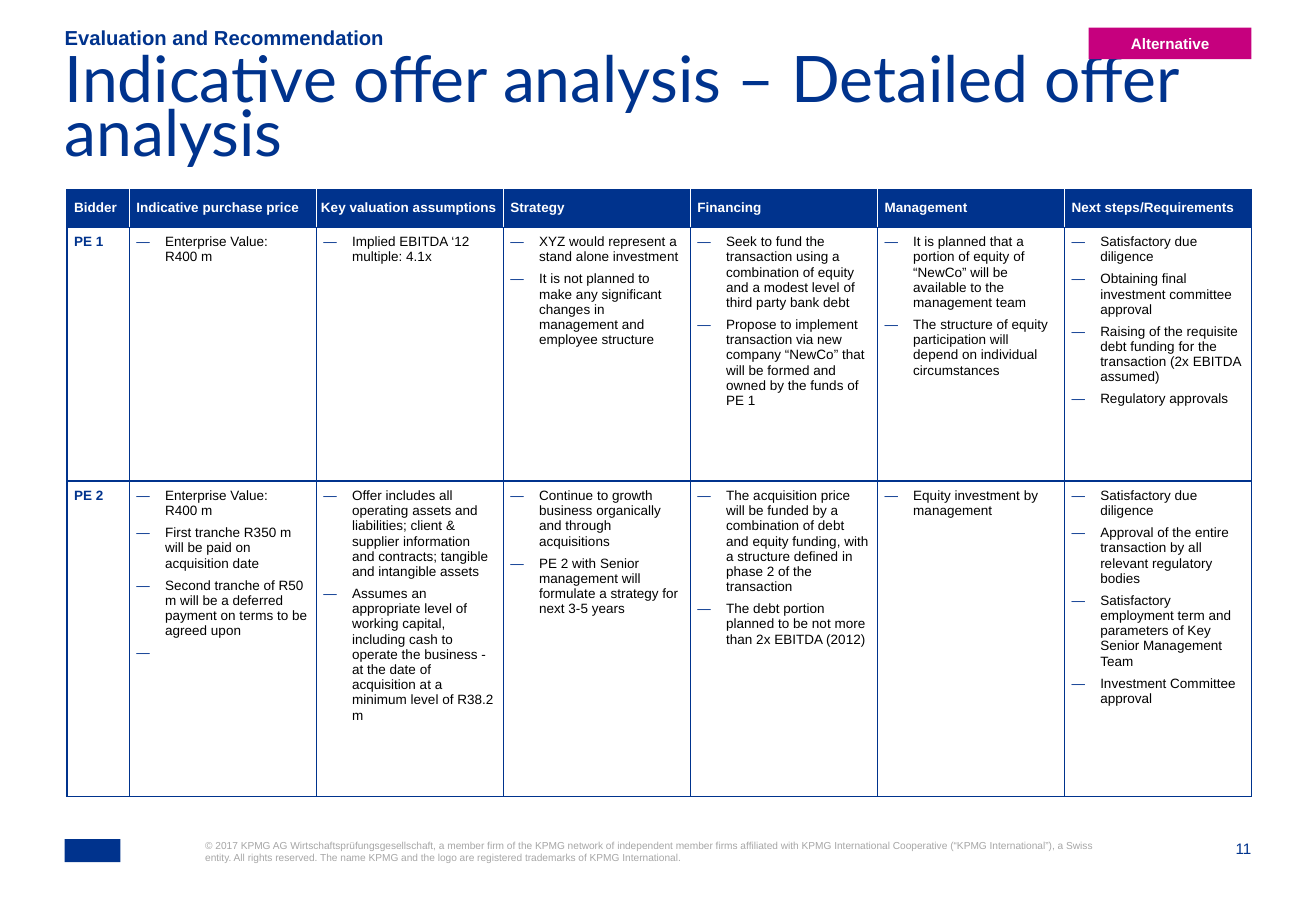
import dataclasses
from typing import Any

import lxml.etree
import pptx
import pptx.dml.color
import pptx.enum.shapes
import pptx.enum.text
import pptx.oxml.ns
import pptx.util

Cm = pptx.util.Cm
Pt = pptx.util.Pt
Align = pptx.enum.text.PP_ALIGN
Anchor = pptx.enum.text.MSO_ANCHOR
qn = pptx.oxml.ns.qn


@dataclasses.dataclass(frozen=True)
class TextStyle:
    size: float
    color: str
    bold: bool = False
    font: str = "Arial"


@dataclasses.dataclass(frozen=True)
class Theme:
    blue: str = "00338D"
    magenta: str = "C6007E"
    white: str = "FFFFFF"
    title: TextStyle = TextStyle(38, "00338D", font="Lato")
    section: TextStyle = TextStyle(12, "00338D", True)
    badge: TextStyle = TextStyle(9, "FFFFFF", True)
    header: TextStyle = TextStyle(8, "FFFFFF", True)
    bidder: TextStyle = TextStyle(8, "00338D", True)
    body: TextStyle = TextStyle(8, "000000")
    footer: TextStyle = TextStyle(6, "A6A6A6")
    page_number: TextStyle = TextStyle(9, "00338D")


@dataclasses.dataclass(frozen=True)
class Box:
    left: float
    top: float
    width: float
    height: float

    def lengths(self) -> tuple[int, int, int, int]:
        return Cm(self.left), Cm(self.top), Cm(self.width), Cm(self.height)


@dataclasses.dataclass(frozen=True)
class Bidder:
    name: str
    columns: list[list[str]]


THEME = Theme()
COLUMN_WIDTHS = [1.3] + [3.91] * 6
ROW_HEIGHTS = [0.79, 5.31, 6.6]
CELL_MARGIN = 0.15
NARROW_MARGIN = 0.1
BULLET_INDENT = 0.6

HEADERS = ["Bidder", "Indicative purchase price", "Key valuation assumptions", "Strategy",
           "Financing", "Management", "Next steps/Requirements"]
TIGHT_HEADER = "Key valuation assumptions"

BIDDERS = [
    Bidder("PE 1", [
        ["Enterprise Value: \nR400 m"],
        ["Implied EBITDA ‘12 multiple: 4.1x"],
        ["XYZ would represent a stand alone investment",
         "It is not planned to make any significant changes in management and employee structure"],
        ["Seek to fund the transaction using a combination of equity and a modest level of "
         "third party bank debt",
         "Propose to implement transaction via new company “NewCo” that will be formed and "
         "owned by the funds of PE 1"],
        ["It is planned that a portion of equity of “NewCo” will be available to the "
         "management team",
         "The structure of equity participation will depend on individual circumstances"],
        ["Satisfactory due diligence",
         "Obtaining final investment committee approval",
         "Raising of the requisite debt funding for the transaction (2x EBITDA assumed)",
         "Regulatory approvals"],
    ]),
    Bidder("PE 2", [
        ["Enterprise Value: \nR400 m",
         "First tranche R350 m will be paid on acquisition date",
         "Second tranche of R50 m will be a deferred payment on terms to be agreed upon",
         "\t"],  # the list ends with an open dash
        ["Offer includes all operating assets and liabilities; client & supplier information "
         "and contracts; tangible and intangible assets",
         "Assumes an appropriate level of working capital, including cash to operate the "
         "business - at the date of acquisition at a minimum level of R38.2 m"],
        ["Continue to growth business organically and through acquisitions",
         "PE 2 with Senior management will formulate a strategy for next 3-5 years"],
        ["The acquisition price will be funded by a combination of debt and equity funding, "
         "with a structure defined in phase 2 of the transaction",
         "The debt portion planned to be not more than 2x EBITDA (2012)"],
        ["Equity investment by management"],
        ["Satisfactory due diligence",
         "Approval of the entire transaction by all relevant regulatory bodies",
         "Satisfactory employment term and parameters of Key Senior Management Team",
         "Investment Committee approval"],
    ]),
]

COPYRIGHT = ("© 2017 KPMG AG Wirtschaftsprüfungsgesellschaft, a member firm of the KPMG network of "
             "independent member firms affiliated with KPMG International Cooperative (“KPMG "
             "International”), a Swiss entity. All rights reserved. The name KPMG and the logo are "
             "registered trademarks of KPMG International.")


def rgb(color: str) -> pptx.dml.color.RGBColor:
    return pptx.dml.color.RGBColor.from_string(color)


def add_text(paragraph: Any, text: str, style: TextStyle) -> None:
    for index, line in enumerate(text.split("\n")):
        if index:
            paragraph.add_line_break()
        run = paragraph.add_run()
        run.text = line
        run.font.name = style.font
        run.font.size = Pt(style.size)
        run.font.bold = style.bold
        run.font.color.rgb = rgb(style.color)


def fill_frame(shape: Any, text: str, style: TextStyle, align: Any = Align.LEFT,
               anchor: Any = Anchor.TOP) -> Any:
    frame = shape.text_frame
    frame.word_wrap = True
    frame.auto_size = pptx.enum.text.MSO_AUTO_SIZE.NONE
    frame.vertical_anchor = anchor
    frame.margin_left = frame.margin_right = frame.margin_top = frame.margin_bottom = 0
    paragraph = frame.paragraphs[0]
    paragraph.alignment = align
    paragraph.space_before = Pt(0)
    add_text(paragraph, text, style)
    return paragraph


def add_label(slide: Any, box: Box, text: str, style: TextStyle, align: Any = Align.LEFT) -> None:
    fill_frame(slide.shapes.add_textbox(*box.lengths()), text, style, align)


def add_block(slide: Any, box: Box, color: str) -> Any:
    shape = slide.shapes.add_shape(pptx.enum.shapes.MSO_SHAPE.RECTANGLE, *box.lengths())
    shape.shadow.inherit = False
    shape.fill.solid()
    shape.fill.fore_color.rgb = rgb(color)
    shape.line.fill.background()
    return shape


def place(shape: Any, box: Box) -> Any:
    shape.left, shape.top, shape.width, shape.height = box.lengths()
    return shape


def set_indent(paragraph: Any, indent: float, bullet: str = "") -> None:
    properties = paragraph._p.get_or_add_pPr()
    properties.set("marL", str(Cm(indent)))
    properties.set("indent", str(-Cm(indent)))
    if not bullet:
        lxml.etree.SubElement(properties, qn("a:buNone"))
        return
    color = lxml.etree.SubElement(properties, qn("a:buClr"))
    lxml.etree.SubElement(color, qn("a:srgbClr"), val=THEME.blue)
    lxml.etree.SubElement(properties, qn("a:buFont"), typeface="Arial")
    lxml.etree.SubElement(properties, qn("a:buChar"), char=bullet)


def format_cell(cell: Any, fill: str, anchor: Any, side_margin: float,
                left: str, right: str) -> None:
    properties = cell._tc.get_or_add_tcPr()
    edges = {"a:lnL": left, "a:lnR": right, "a:lnT": THEME.blue, "a:lnB": THEME.blue}
    for tag, color in edges.items():
        line = lxml.etree.SubElement(properties, qn(tag), w=str(Pt(0.75)))
        solid = lxml.etree.SubElement(line, qn("a:solidFill"))
        lxml.etree.SubElement(solid, qn("a:srgbClr"), val=color)
    cell.fill.solid()
    cell.fill.fore_color.rgb = rgb(fill)
    cell.vertical_anchor = anchor
    cell.margin_left = cell.margin_right = Cm(side_margin)
    cell.margin_top = cell.margin_bottom = Cm(CELL_MARGIN)


def add_offer_table(slide: Any, box: Box) -> None:
    table = slide.shapes.add_table(len(ROW_HEIGHTS), len(COLUMN_WIDTHS), *box.lengths()).table
    table.first_row = table.horz_banding = False
    for column, width in zip(table.columns, COLUMN_WIDTHS):
        column.width = Cm(width)
    for row, height in zip(table.rows, ROW_HEIGHTS):
        row.height = Cm(height)

    # Header row: white rules between the columns only
    for index, header in enumerate(HEADERS):
        cell = table.cell(0, index)
        format_cell(cell, THEME.blue, Anchor.MIDDLE,
                    NARROW_MARGIN if header == TIGHT_HEADER else CELL_MARGIN,
                    THEME.white if index else THEME.blue,
                    THEME.white if index < len(HEADERS) - 1 else THEME.blue)
        add_text(cell.text_frame.paragraphs[0], header, THEME.header)

    # One row per bidder
    for row_index, bidder in enumerate(BIDDERS, start=1):
        for index in range(len(HEADERS)):
            format_cell(table.cell(row_index, index), THEME.white, Anchor.TOP, CELL_MARGIN,
                        THEME.blue, THEME.blue)
        add_text(table.cell(row_index, 0).text_frame.paragraphs[0], bidder.name, THEME.bidder)
        for index, points in enumerate(bidder.columns, start=1):
            frame = table.cell(row_index, index).text_frame
            for number, point in enumerate(points):
                paragraph = frame.add_paragraph() if number else frame.paragraphs[0]
                paragraph.space_after = Pt(4)
                set_indent(paragraph, BULLET_INDENT, "—")
                add_text(paragraph, point, THEME.body)


def main() -> None:
    presentation = pptx.Presentation()
    presentation.slide_width, presentation.slide_height = Cm(27.51), Cm(19.05)
    slide = presentation.slides.add_slide(presentation.slide_layouts[1])

    # Title and section line
    title = place(slide.shapes.title, Box(1.35, 1.24, 24.79, 2.01))
    fill_frame(title, "Indicative offer analysis – Detailed offer analysis",
               THEME.title).line_spacing = 0.7
    section = place(slide.placeholders[1], Box(1.35, 0.56, 23.88, 0.48))
    set_indent(fill_frame(section, "Evaluation and Recommendation", THEME.section,
                          anchor=Anchor.BOTTOM), 0)

    # Badge and table
    badge = add_block(slide, Box(22.76, 0.58, 3.4, 0.66), THEME.magenta)
    fill_frame(badge, "Alternative", THEME.badge, Align.CENTER, Anchor.MIDDLE)
    add_offer_table(slide, Box(1.4, 3.96, sum(COLUMN_WIDTHS), sum(ROW_HEIGHTS)))

    # Footer
    add_block(slide, Box(1.35, 17.55, 1.17, 0.48), THEME.blue)
    add_label(slide, Box(4.29, 17.55, 19.02, 1.04), COPYRIGHT, THEME.footer)
    add_label(slide, Box(25.07, 17.55, 1.09, 0.41), "11", THEME.page_number, Align.RIGHT)

    presentation.save("out.pptx")


if __name__ == "__main__":
    main()
